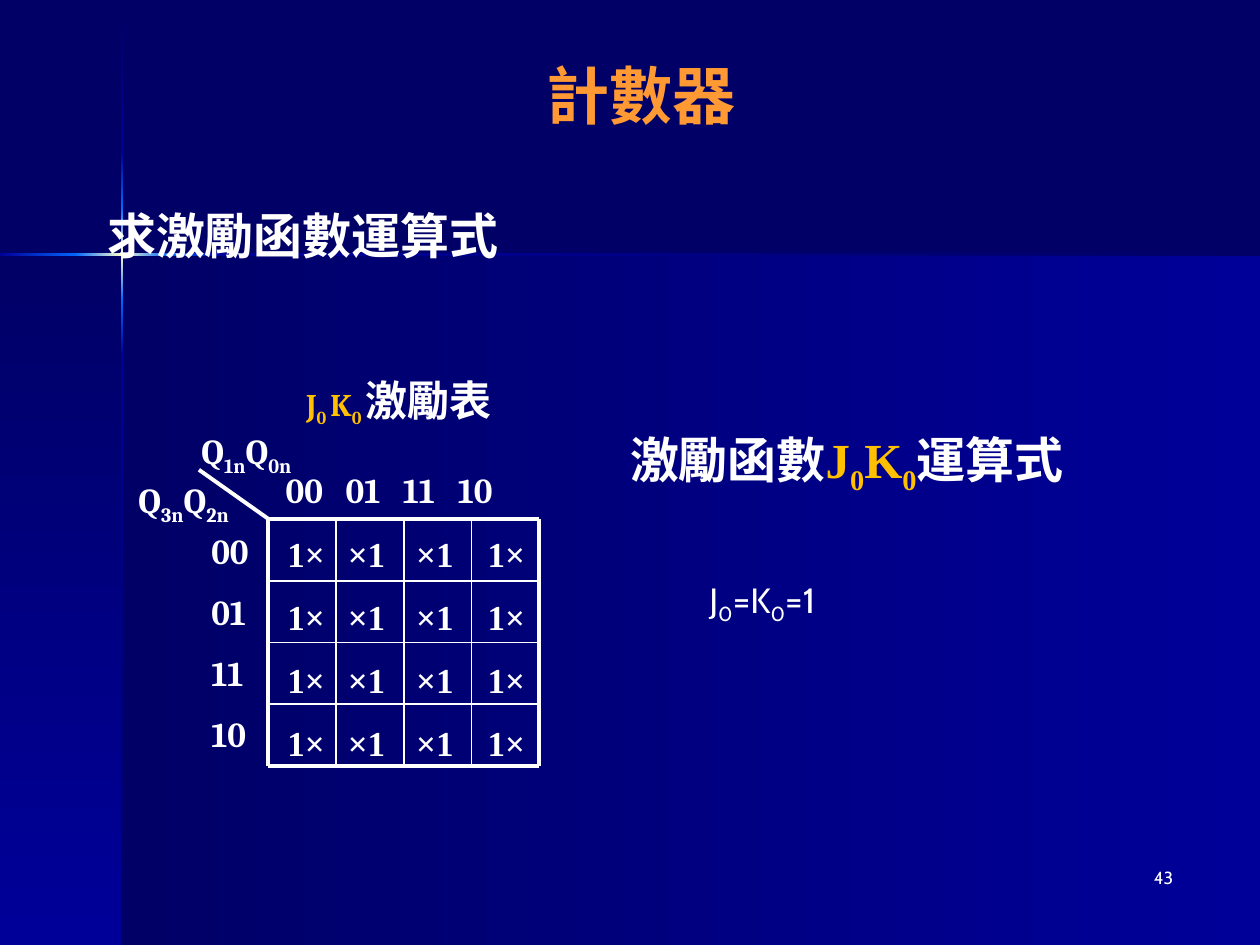
from copy import deepcopy
from dataclasses import dataclass, replace
from typing import NamedTuple

from lxml.etree import SubElement
from pptx import Presentation
from pptx.dml.color import RGBColor
from pptx.enum.shapes import MSO_CONNECTOR, MSO_SHAPE
from pptx.enum.text import MSO_ANCHOR, PP_ALIGN
from pptx.oxml.ns import qn
from pptx.slide import Slide
from pptx.text.text import _Paragraph
from pptx.util import Cm, Pt


@dataclass(frozen=True)
class Theme:
    dark: str = "000066"
    bright: str = "000099"
    glow: str = "0066FF"
    spark: str = "FFFFCC"
    title: str = "FF9933"
    text: str = "FFFFFF"
    variable: str = "FFC000"
    sans: str = "Cabin"
    serif: str = "Cambria"
    roman: str = "Times New Roman"
    title_size: int = 36
    heading_size: int = 28
    caption_size: int = 24
    map_size: int = 20
    variable_size: int = 18
    number_size: int = 10
    thick: float = 2.25
    thin: float = 1


THEME = Theme()


class Box(NamedTuple):
    left: float
    top: float
    width: float
    height: float


class Panel(NamedTuple):
    box: Box
    colors: tuple[str, ...]
    downward: bool


@dataclass(frozen=True)
class Style:
    font: str
    size: int
    color: str = THEME.text
    bold: bool = True


class Span(NamedTuple):
    text: str
    style: Style
    lowered: bool = False


@dataclass(frozen=True)
class Label:
    box: Box
    lines: list[list[Span]]
    align: PP_ALIGN = PP_ALIGN.LEFT
    anchor: MSO_ANCHOR = MSO_ANCHOR.TOP
    wrap: bool = True
    gap: float = 0
    tabs: tuple[float, ...] = ()


HEADING = Style(THEME.serif, THEME.heading_size)
MAP = Style(THEME.serif, THEME.map_size)
CELL = Style(THEME.roman, THEME.map_size)
VARIABLE = Style(THEME.serif, THEME.variable_size, THEME.variable)
ANSWER = Style(THEME.sans, THEME.map_size, bold=False)


def with_subscripts(style: Style, *parts: str) -> list[Span]:
    """Every second part is lowered."""
    return [Span(part, style, i % 2 == 1) for i, part in enumerate(parts)]


def draw_panel(slide: Slide, panel: Panel) -> None:
    shape = slide.shapes.add_shape(MSO_SHAPE.RECTANGLE, *map(Cm, panel.box))
    shape.shadow.inherit = False
    shape.line.fill.background()
    shape.fill.gradient()
    shape.fill.gradient_angle = 270 if panel.downward else 0
    stop_list = shape.fill.gradient_stops[0]._gs.getparent()
    while len(stop_list) < len(panel.colors):
        stop_list.append(deepcopy(stop_list[-1]))
    for i, (stop, color) in enumerate(zip(shape.fill.gradient_stops, panel.colors)):
        stop.position = i / (len(panel.colors) - 1)
        stop.color.rgb = RGBColor.from_string(color)


def draw_line(slide: Slide, start: tuple[float, float], end: tuple[float, float],
              weight: float) -> None:
    line = slide.shapes.add_connector(MSO_CONNECTOR.STRAIGHT, *map(Cm, start + end))
    line.line.color.rgb = RGBColor.from_string(THEME.text)
    line.line.width = Pt(weight)
    SubElement(line._element.spPr, qn("a:effectLst"))


def set_tabs(paragraph: _Paragraph, stops: tuple[float, ...]) -> None:
    tab_list = SubElement(paragraph._p.get_or_add_pPr(), qn("a:tabLst"))
    for stop in stops:
        SubElement(tab_list, qn("a:tab"), pos=str(Cm(stop)), algn="l")


def draw_label(slide: Slide, label: Label) -> None:
    frame = slide.shapes.add_textbox(*map(Cm, label.box)).text_frame
    frame.word_wrap = label.wrap
    frame.vertical_anchor = label.anchor
    for i, spans in enumerate(label.lines):
        paragraph = frame.add_paragraph() if i else frame.paragraphs[0]
        paragraph.alignment = label.align
        if i:
            paragraph.space_before = Pt(label.gap)
        if label.tabs:
            set_tabs(paragraph, label.tabs)
        for span in spans:
            run = paragraph.add_run()
            run.text = span.text
            run.font.name = span.style.font
            run.font.size = Pt(span.style.size)
            run.font.bold = span.style.bold
            run.font.color.rgb = RGBColor.from_string(span.style.color)
            if span.lowered:
                run._r.get_or_add_rPr().set("baseline", "-25000")


def draw_backdrop(slide: Slide) -> None:
    rise, fall = (THEME.dark, THEME.bright), (THEME.bright, THEME.dark)
    glow_in, glow_out = (THEME.bright, THEME.glow), (THEME.glow, THEME.bright)
    flare = (THEME.glow, THEME.spark, THEME.glow)
    draw_panel(slide, Panel(Box(2.46, 5.13, 22.94, 13.92), rise, False))
    draw_panel(slide, Panel(Box(0, 5.13, 2.46, 13.92), rise, True))
    for top, bottom, colors in ((0.03, 3.07, rise), (7.16, 19.05, fall), (6.05, 7.16, glow_out),
                                (3.07, 4.19, glow_in), (4.19, 6.05, flare)):
        draw_panel(slide, Panel(Box(2.44, top, 0.05, bottom - top), colors, True))
    for left, right, colors in ((4.5, 25.4, fall), (0, 1.55, glow_in), (3.38, 4.5, glow_out),
                                (1.52, 3.38, flare)):
        draw_panel(slide, Panel(Box(left, 5.11, right - left, 0.05), colors, False))


def draw_karnaugh_map(slide: Slide) -> None:
    left, top, width, height = Box(5.41, 10.46, 5.46, 4.98)
    codes = ["00", "01", "11", "10"]
    size = len(codes)
    for i in range(size + 1):
        weight = THEME.thick if i in (0, size) else THEME.thin
        x, y = left + width * i / size, top + height * i / size
        draw_line(slide, (left, y), (left + width, y), weight)
        draw_line(slide, (x, top), (x, top + height), weight)
    draw_line(slide, (left, top), (4.01, 9.47), THEME.thick)

    caption = Style(THEME.serif, THEME.caption_size)
    for label in (
        Label(Box(3.81, 8.53, 2.84, 1.09),
              [with_subscripts(MAP, "Q", "1n", "Q", "0n")], wrap=False),
        Label(Box(2.54, 9.53, 2.87, 1.09),
              [with_subscripts(MAP, "Q", "3n", "Q", "2n")], wrap=False),
        Label(Box(4.01, 10.54, 1.5, 4.9), [[Span(code, MAP)] for code in codes],
              wrap=False, gap=11),
        Label(Box(5.51, 9.32, 5.49, 1.09), [[Span("\t".join(codes), MAP)]],
              wrap=False, tabs=(1.21, 2.36, 3.47)),
        Label(Box(5.92, 7.42, 6.48, 1.27),
              [with_subscripts(VARIABLE, "J", "0 ", "K", "0 ") + [Span("激勵表", caption)]]),
    ):
        draw_label(slide, label)

    columns = ((5.28, 1.78, "1×"), (6.55, 1.68, "×1"), (7.82, 1.9, "×1"), (9.32, 1.78, "1×"))
    for cell_left, cell_width, excitation in columns:
        for row in range(size):
            box = Box(cell_left, 10.61 + 1.27 * row, cell_width, 1.24)
            draw_label(slide, Label(box, [[Span(excitation, CELL)]], PP_ALIGN.CENTER))


def main() -> None:
    deck = Presentation()
    deck.slide_width, deck.slide_height = Cm(25.4), Cm(19.05)
    slide = deck.slides.add_slide(deck.slide_layouts[6])
    slide.background.fill.solid()
    slide.background.fill.fore_color.rgb = RGBColor.from_string(THEME.dark)
    draw_backdrop(slide)

    title = Style(THEME.sans, THEME.title_size, THEME.title)
    number = Style(THEME.sans, THEME.number_size, bold=False)
    function = replace(HEADING, font=THEME.roman, color=THEME.variable)
    for label in (
        Label(Box(1.27, 0.84, 23.29, 2.11), [[Span("計數器", title)]],
              PP_ALIGN.CENTER, MSO_ANCHOR.MIDDLE),
        Label(Box(1.91, 4.01, 22.02, 12.9), [[Span("求激勵函數運算式", HEADING)]]),
        Label(Box(18.62, 17.35, 5.28, 1.27), [[Span("43", number)]], PP_ALIGN.RIGHT),
        Label(Box(12.37, 8.53, 9.4, 1.45),
              [[Span("激勵函數", HEADING), *with_subscripts(function, "J", "0", "K", "0"),
                Span("運算式", HEADING)]], PP_ALIGN.CENTER),
        Label(Box(14.05, 11.53, 4.39, 1.12),
              [with_subscripts(ANSWER, "J", "0", "=K", "0", "=1")]),
    ):
        draw_label(slide, label)
    draw_karnaugh_map(slide)
    deck.save("out.pptx")


if __name__ == "__main__":
    main()
